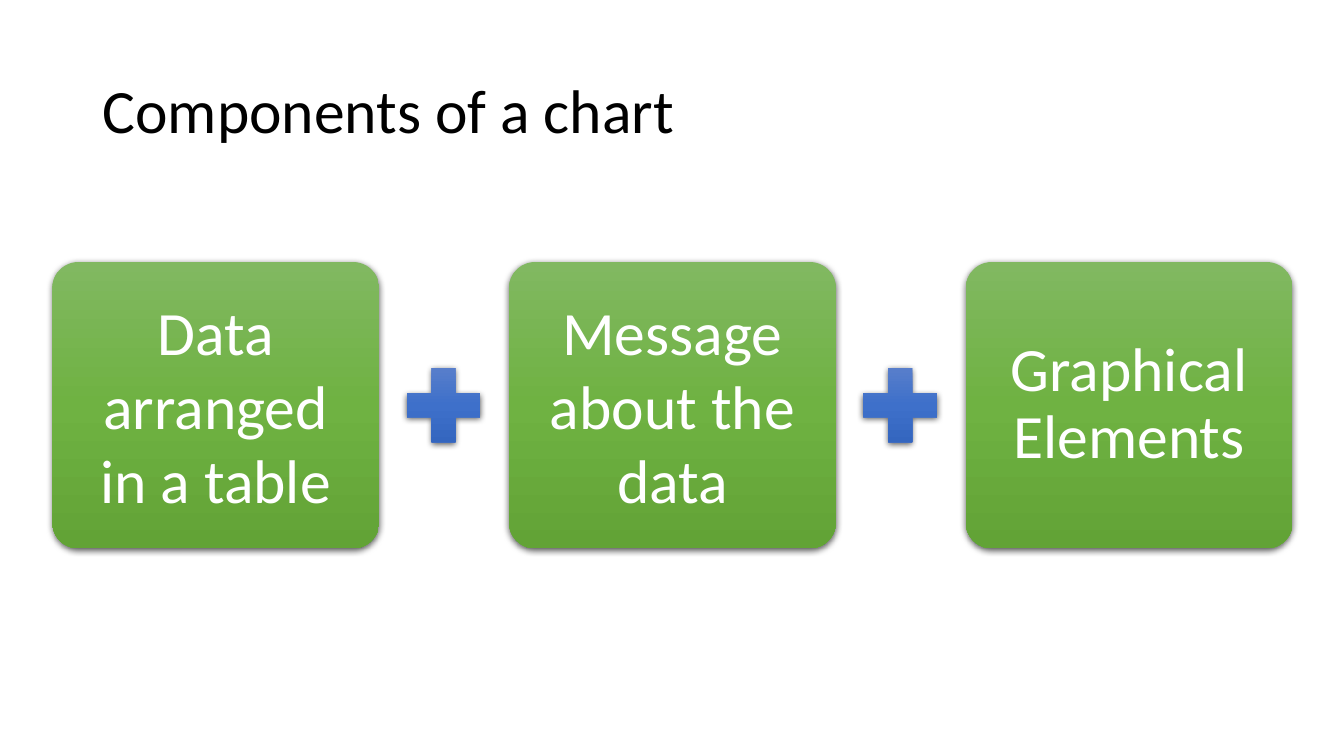
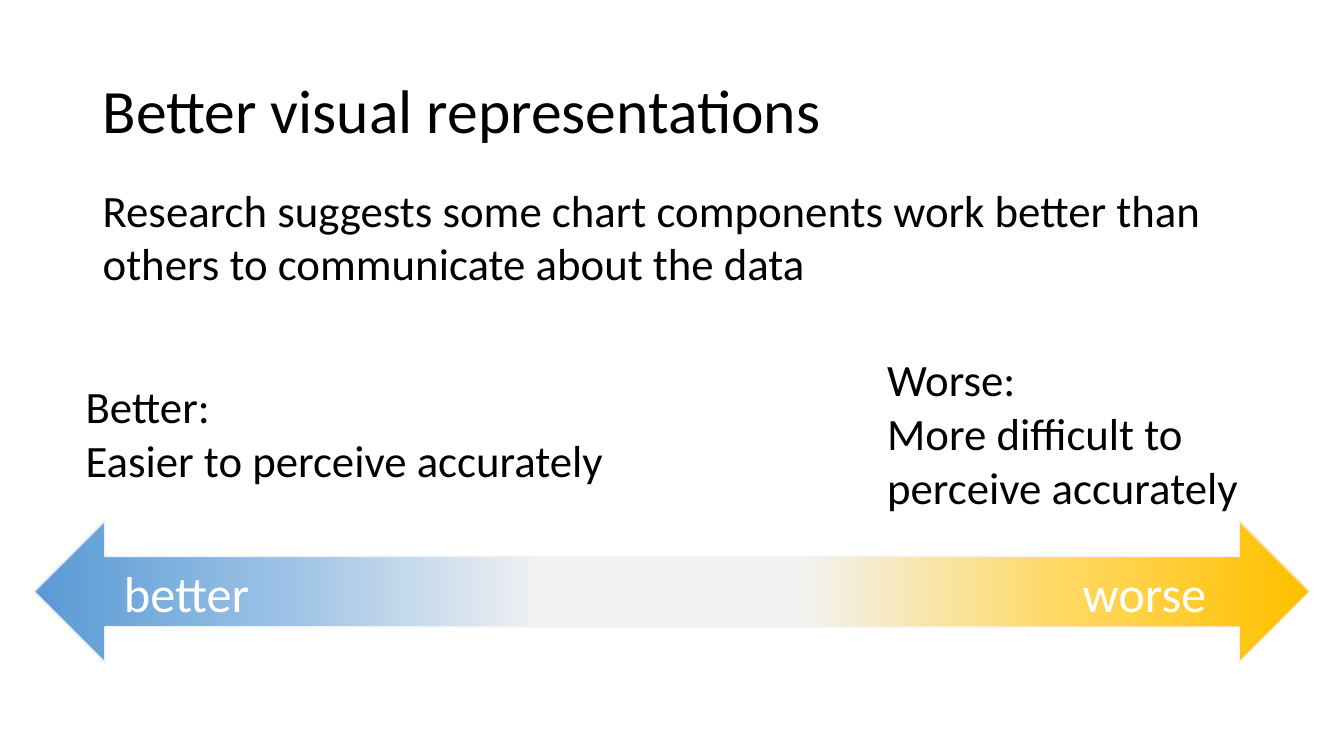
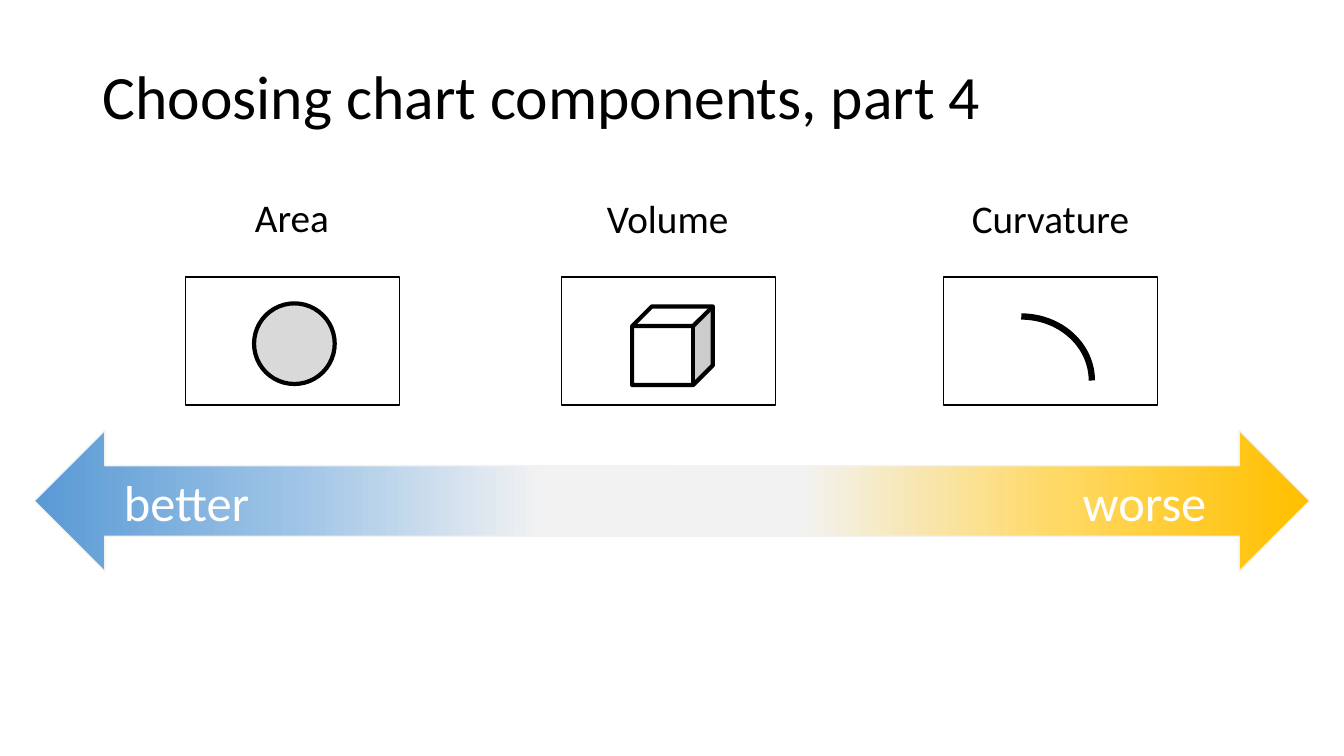
"""Three slides on chart components and how well each one communicates data."""
from lxml import etree
from pptx import Presentation
from pptx.dml.color import RGBColor
from pptx.enum import shapes, text
from pptx.oxml import ns
from pptx.util import Inches, Pt

FONT = "Calibri"
BLACK = RGBColor(0x00, 0x00, 0x00)
WHITE = RGBColor(0xFF, 0xFF, 0xFF)
PALE = RGBColor(0xF2, 0xF2, 0xF2)
GREY = RGBColor(0xD9, 0xD9, 0xD9)
LIGHT_BLUE = RGBColor(0x9D, 0xC3, 0xE6)
BLUE = RGBColor(0x5B, 0x9B, 0xD5)
LIGHT_GOLD = RGBColor(0xFF, 0xD9, 0x66)
GOLD = RGBColor(0xFF, 0xC0, 0x00)
CARD_GREENS = [(0, RGBColor(0x81, 0xB8, 0x61)), (50, RGBColor(0x6F, 0xB2, 0x42)),
               (100, RGBColor(0x62, 0xA3, 0x36))]
PLUS_BLUES = [(0, RGBColor(0x61, 0x83, 0xCB)), (50, RGBColor(0x3E, 0x70, 0xCA)),
              (100, RGBColor(0x30, 0x62, 0xBB))]
SHAPE = shapes.MSO_SHAPE
MIDDLE = text.MSO_ANCHOR.MIDDLE


def write(shape, words, size, colour=BLACK, spacing=1.0, wrap=True,
          align=text.PP_ALIGN.LEFT, anchor=text.MSO_ANCHOR.TOP):
    frame = shape.text_frame
    frame.text = words
    frame.word_wrap = wrap
    frame.auto_size = text.MSO_AUTO_SIZE.NONE if wrap else text.MSO_AUTO_SIZE.SHAPE_TO_FIT_TEXT
    frame.vertical_anchor = anchor
    for para in frame.paragraphs:
        para.alignment = align
        para.line_spacing = spacing
        for span in para.runs:
            span.font.name = FONT
            span.font.size = Pt(size)
            span.font.color.rgb = colour


def shade(shape, stops, angle, shadow=False):
    shape.fill.gradient()
    shape.fill.gradient_angle = angle
    stop_list = shape.element.spPr.find(".//" + ns.qn("a:gsLst"))
    for old_stop in list(stop_list):
        stop_list.remove(old_stop)
    for percent, colour in stops:
        stop = etree.SubElement(stop_list, ns.qn("a:gs"), pos=str(percent * 1000))
        etree.SubElement(stop, ns.qn("a:srgbClr"), val=str(colour))
    shape.line.fill.background()
    shape.shadow.inherit = False
    if shadow:
        effects = shape.element.spPr.find(ns.qn("a:effectLst"))
        outer = etree.SubElement(effects, ns.qn("a:outerShdw"), blurRad=str(Pt(4.5)),
                                 dist=str(Pt(1.5)), dir="5400000", algn="ctr", rotWithShape="0")
        black = etree.SubElement(outer, ns.qn("a:srgbClr"), val=str(BLACK))
        etree.SubElement(black, ns.qn("a:alpha"), val="63000")


deck = Presentation()
deck.slide_width = Inches(13.33)
deck.slide_height = Inches(7.5)

pages = []
for title, top in [("Components of a chart", 0.4),
                   ("Better visual representations", 0.4),
                   ("Choosing chart components, part 4", 0.26)]:
    page = deck.slides.add_slide(deck.slide_layouts[6])
    box = page.shapes.add_textbox(Inches(0.92), Inches(top), Inches(11.5), Inches(1.45))
    write(box, title, 44, spacing=0.9, anchor=MIDDLE)
    pages.append(page)
components, research, choosing = pages

PITCH = 4.53
for index, (words, spacing) in enumerate([("Data\narranged in a table", 1.0),
                                          ("Message\nabout the data", 1.0),
                                          ("Graphical Elements", 0.9)]):
    card = components.shapes.add_shape(SHAPE.ROUNDED_RECTANGLE, Inches(0.52 + index * PITCH),
                                       Inches(2.6), Inches(3.24), Inches(2.84))
    card.adjustments[0] = 0.09
    shade(card, CARD_GREENS, 270, shadow=True)
    write(card, words, 44, WHITE, spacing, align=text.PP_ALIGN.CENTER, anchor=MIDDLE)
    frame = card.text_frame
    frame.margin_left = frame.margin_right = Inches(0.17)
    frame.margin_top = frame.margin_bottom = Inches(0.17)
for index in range(2):
    plus = components.shapes.add_shape(SHAPE.MATH_PLUS, Inches(3.9 + index * PITCH),
                                       Inches(3.52), Inches(1), Inches(1))
    shade(plus, PLUS_BLUES, 270, shadow=True)

for page, top in [(research, 5.17), (choosing, 4.27)]:
    for left, rotation, middle, tip in [(0.34, 0, LIGHT_BLUE, BLUE),
                                        (6.67, 180, LIGHT_GOLD, GOLD)]:
        arrow = page.shapes.add_shape(SHAPE.LEFT_ARROW, Inches(left), Inches(top),
                                      Inches(6.32), Inches(1.4))
        arrow.rotation = rotation
        shade(arrow, [(0, PALE), (20, PALE), (60, middle), (99, tip)], 180)
        arrow.line.color.rgb = PALE
        arrow.line.width = Pt(1)
    for words, left, width in [("better", 1.13, 1.46), ("worse", 10.64, 1.44)]:
        box = page.shapes.add_textbox(Inches(left), Inches(top + 0.35), Inches(width), Inches(0.71))
        write(box, words, 36, WHITE, wrap=False, anchor=MIDDLE)

claim = research.shapes.add_textbox(Inches(0.92), Inches(1.76), Inches(11.5), Inches(1.45))
write(claim, "Research suggests some chart components work better than "
      "others to communicate about the data", 32)
for words, left, top, width, height in [
        ("Better:\vEasier to perceive accurately", 0.75, 3.71, 5.39, 1.18),
        ("Worse:\vMore difficult to\vperceive accurately", 8.7, 3.44, 3.71, 1.72)]:
    box = research.shapes.add_textbox(Inches(left), Inches(top), Inches(width), Inches(height))
    write(box, words, 32, wrap=False)

for words, label_left, label_top, label_width, panel_left, kind, symbol_at, fill, weight in [
        ("Area", 2.43, 1.87, 0.94, 1.84, SHAPE.OVAL, (2.52, 3.01, 0.8, 0.8), GREY, 3),
        ("Volume", 5.92, 1.88, 1.42, 5.57, SHAPE.CUBE, (6.27, 3.04, 0.8, 0.78), WHITE, 3),
        ("Curvature", 9.54, 1.88, 1.78, 9.36, SHAPE.ARC, (9.43, 3.14, 1.4, 1.27), None, 4.5)]:
    label = choosing.shapes.add_textbox(Inches(label_left), Inches(label_top),
                                        Inches(label_width), Inches(0.57))
    write(label, words, 28, wrap=False)
    for preset, place, colour, width in [
            (SHAPE.RECTANGLE, (panel_left, 2.75, 2.12, 1.27), WHITE, 1),
            (kind, symbol_at, fill, weight)]:
        shape = choosing.shapes.add_shape(preset, *map(Inches, place))
        shape.shadow.inherit = False
        if colour is None:
            shape.fill.background()
        else:
            shape.fill.solid()
            shape.fill.fore_color.rgb = colour
        shape.line.color.rgb = BLACK
        shape.line.width = Pt(width)

deck.save("out.pptx")
